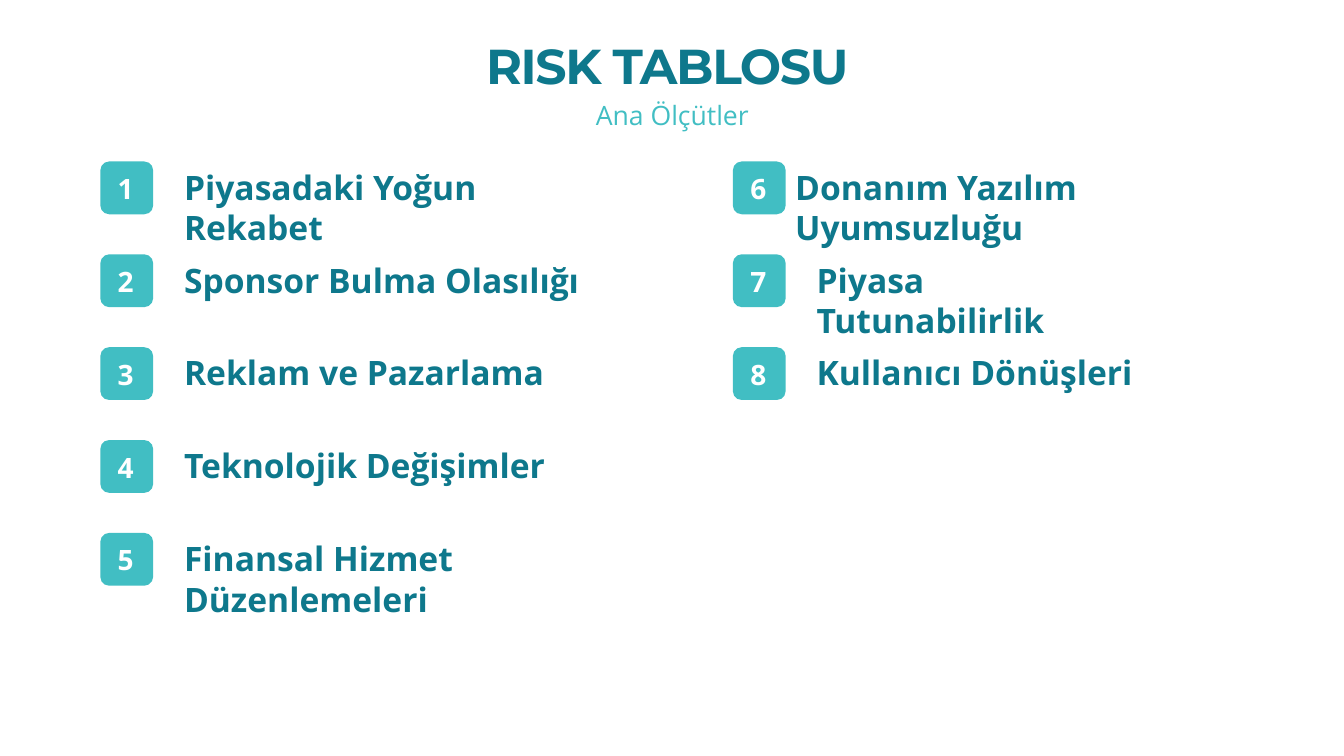
import pptx
import pptx.util
import pptx.dml.color
import pptx.enum.shapes
import pptx.enum.text

Cm = pptx.util.Cm
TEAL = pptx.dml.color.RGBColor(0x0E, 0x78, 0x8C)
TURQUOISE = pptx.dml.color.RGBColor(0x41, 0xBE, 0xC3)
WHITE = pptx.dml.color.RGBColor(0xFF, 0xFF, 0xFF)
LEFT = pptx.enum.text.PP_ALIGN.LEFT
CENTER = pptx.enum.text.PP_ALIGN.CENTER

ROW_PITCH = 2.34
BADGE_SIZE = 1.33
LABEL_INDENT = 2.11
LEFT_RISKS = [
    ("Piyasadaki Yoğun Rekabet", LABEL_INDENT, 10.69),
    ("Sponsor Bulma Olasılığı", LABEL_INDENT, 10.39),
    ("Reklam ve Pazarlama", LABEL_INDENT, 10.34),
    ("Teknolojik Değişimler", LABEL_INDENT, 12.85),
    ("Finansal Hizmet Düzenlemeleri", LABEL_INDENT, 13.06),
]
RIGHT_RISKS = [
    ("Donanım Yazılım Uyumsuzluğu", 1.57, 12.88),
    ("Piyasa Tutunabilirlik", LABEL_INDENT, 8.56),
    ("Kullanıcı Dönüşleri", LABEL_INDENT, 10.62),
]


def place(shape, left, top, width, height):
    shape.left, shape.top = Cm(left), Cm(top)
    shape.width, shape.height = Cm(width), Cm(height)


def write(shape, text, size, color, align, font="Open Sans", bold=True):
    frame = shape.text_frame
    frame.margin_left = frame.margin_right = 0
    frame.margin_top = frame.margin_bottom = 0
    frame.word_wrap = True
    frame.auto_size = pptx.enum.text.MSO_AUTO_SIZE.SHAPE_TO_FIT_TEXT
    frame.vertical_anchor = pptx.enum.text.MSO_ANCHOR.TOP
    para = frame.paragraphs[0]
    para.alignment = align
    span = para.add_run()
    span.text = text
    span.font.name = font
    span.font.size = pptx.util.Pt(size)
    span.font.bold = bold
    span.font.color.rgb = color
    return span


def add_text(page, left, top, width, height, *content, **style):
    box = page.shapes.add_textbox(Cm(left), Cm(top), Cm(width), Cm(height))
    write(box, *content, **style)


def add_header(page, left, top, width):
    title = page.shapes.title
    place(title, left, top, width, 1.5)
    span = write(title, "RISK TABLOSU", 35, TEAL, CENTER, font="Montserrat")
    span.font._element.set("spc", "-100")
    add_text(page, left + 0.13, top + 1.6, width, 0.81,
             "Ana Ölçütler", 19, TURQUOISE, CENTER, bold=False)


def add_badge(page, left, top, number):
    badge = page.shapes.add_shape(
        pptx.enum.shapes.MSO_SHAPE.ROUNDED_RECTANGLE,
        Cm(left), Cm(top), Cm(BADGE_SIZE), Cm(BADGE_SIZE))
    badge.shadow.inherit = False
    badge.fill.solid()
    badge.fill.fore_color.rgb = TURQUOISE
    badge.line.fill.background()
    add_text(page, left + 0.14, top + 0.25, 1, 0.86,
             str(number), 20, WHITE, CENTER)


def add_risk_column(page, left, top, risks, first_number):
    for row, (label, indent, width) in enumerate(risks):
        row_top = top + row * ROW_PITCH
        add_badge(page, left, row_top, first_number + row)
        add_text(page, left + indent, row_top + 0.13, width, 1.02,
                 label, 24, TEAL, LEFT)


def main():
    deck = pptx.Presentation()
    deck.slide_width, deck.slide_height = Cm(33.87), Cm(19.05)
    page = deck.slides.add_slide(deck.slide_layouts[5])
    add_header(page, 3.58, 0.89, 26.47)
    add_risk_column(page, 2.53, 4.07, LEFT_RISKS, 1)
    add_risk_column(page, 18.47, 4.07, RIGHT_RISKS, len(LEFT_RISKS) + 1)
    deck.save("out.pptx")


if __name__ == "__main__":
    main()
